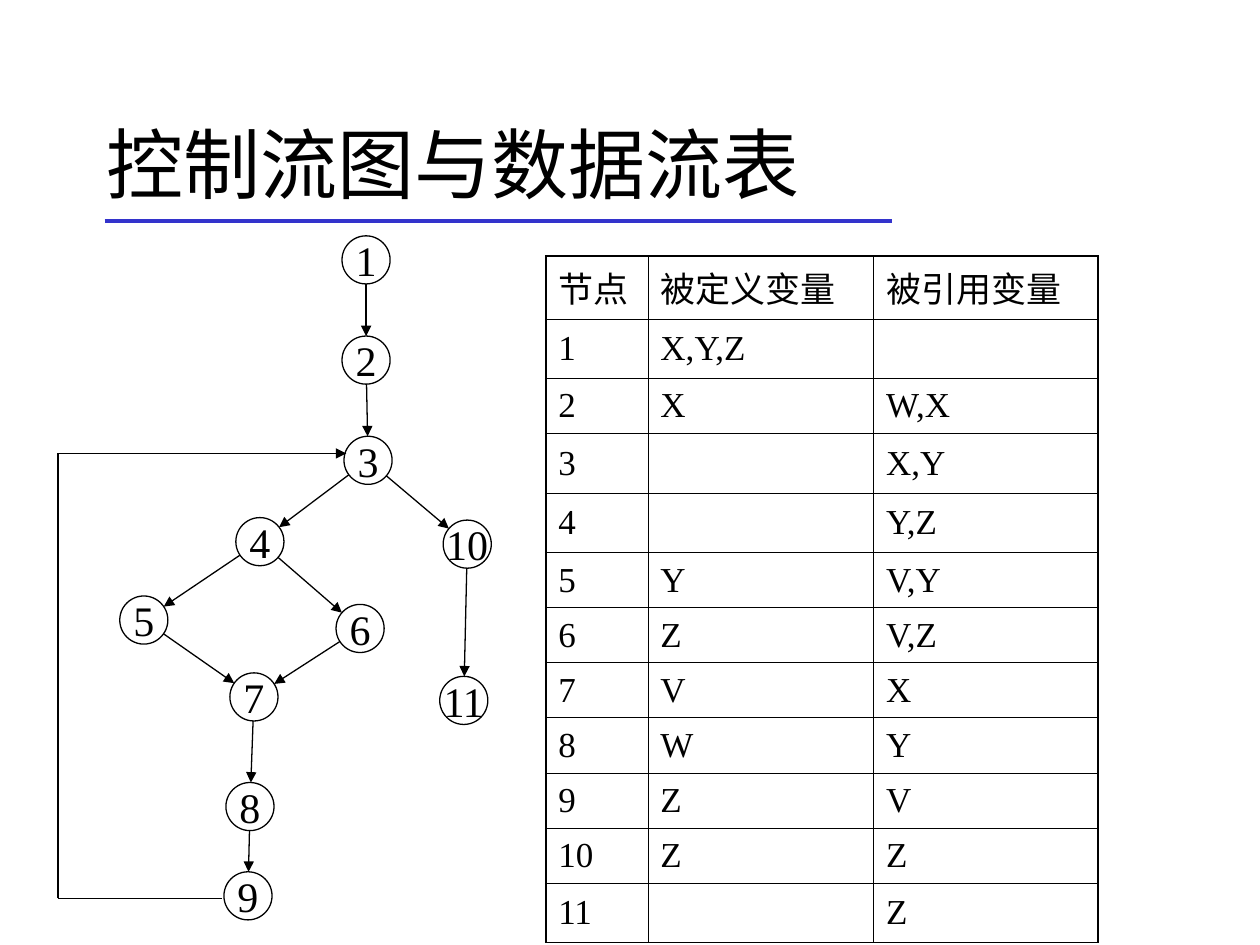
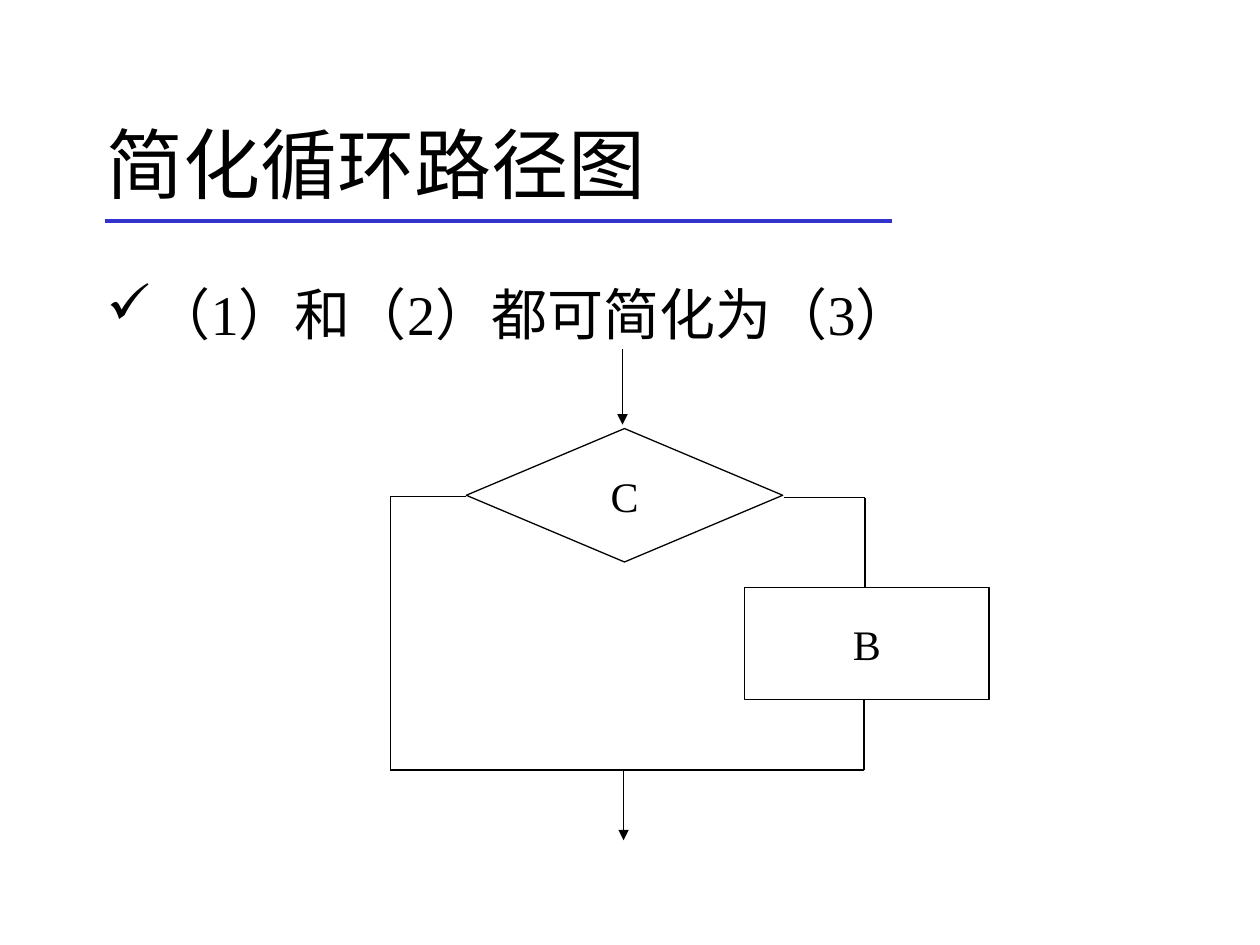
from itertools import pairwise
from math import hypot

from lxml import etree
from pptx import Presentation
from pptx.dml.color import RGBColor
from pptx.enum.shapes import MSO_CONNECTOR, MSO_SHAPE
from pptx.enum.text import MSO_ANCHOR, PP_ALIGN
from pptx.oxml.ns import qn
from pptx.util import Cm, Pt

LINE = MSO_CONNECTOR.STRAIGHT
OVAL, DIAMOND, RECT = MSO_SHAPE.OVAL, MSO_SHAPE.DIAMOND, MSO_SHAPE.RECTANGLE
MIDDLE, TOP = MSO_ANCHOR.MIDDLE, MSO_ANCHOR.TOP
CENTER = PP_ALIGN.CENTER

BLACK, BLUE = "000000", "3333CC"
SERIF, HAN = "Times New Roman", "Noto Sans CJK SC"
THIN, OUTER, INNER = 0.75, 1.08, 0.45

# All lengths are in centimetres.
DIAM = 0.97
NODES = {  # node: centre
    1: (7.38, 5.24), 2: (7.38, 7.26), 3: (7.42, 9.28), 4: (5.24, 10.92),
    5: (2.9, 12.5), 6: (7.26, 12.67), 7: (5.12, 14.05), 8: (5.04, 16.26),
    9: (5.0, 18.06), 10: (9.42, 10.97), 11: (9.35, 14.12),
}
EDGES = [(1, 2), (2, 3), (3, 4), (3, 10), (4, 5), (4, 6),
         (5, 7), (6, 7), (7, 8), (8, 9), (10, 11)]
LOOP = [(4.47, 18.11), (1.17, 18.11), (1.17, 9.14), (6.98, 9.14)]

FLOW = [
    ("节点", "被定义变量", "被引用变量"),
    ("1", "X,Y,Z", ""),
    ("2", "X", "W,X"),
    ("3", "", "X,Y"),
    ("4", "", "Y,Z"),
    ("5", "Y", "V,Y"),
    ("6", "Z", "V,Z"),
    ("7", "V", "X"),
    ("8", "W", "Y"),
    ("9", "Z", "V"),
    ("10", "Z", "Z"),
    ("11", "", "Z"),
]
WIDTHS = (2.06, 4.55, 4.52)
HEAD, GAPPY, FULL = 1.27, 1.2, 1.11  # heights of header, rows with a gap, rest

BLOCKS = [  # shape, text, left, top, width, height
    (DIAMOND, "C", 9.4, 8.64, 6.38, 2.69),
    (RECT, "B", 15.01, 11.84, 4.93, 2.26),
]
ROUTES = [  # points, ends in an arrow
    ([(12.55, 7.04), (12.55, 8.56)], True),
    ([(15.8, 10.03), (17.44, 10.03), (17.44, 11.84)], False),
    ([(9.4, 10.01), (7.87, 10.01), (7.87, 15.52)], False),
    ([(17.42, 14.09), (17.42, 15.52), (7.87, 15.52)], False),
    ([(12.57, 15.52), (12.57, 16.94)], True),
]


def rgb(code):
    return RGBColor.from_string(code)


def style(para, size, latin=SERIF):
    for run in para.runs:
        font = run.font
        font.size, font.name = Pt(size), latin
        font.color.rgb = rgb(BLACK)
        etree.SubElement(run._r.get_or_add_rPr(), qn("a:ea"), typeface=HAN)


def add_text(slide, text, place, size, anchor, latin=SERIF):
    frame = slide.shapes.add_textbox(*map(Cm, place)).text_frame
    frame.word_wrap = True
    frame.vertical_anchor = anchor
    frame.text = text
    style(frame.paragraphs[0], size, latin)
    return frame.paragraphs[0]


def add_block(slide, kind, text, *place):
    shape = slide.shapes.add_shape(kind, *map(Cm, place))
    shape.shadow.inherit = False
    shape.fill.background()
    shape.line.color.rgb = rgb(BLACK)
    shape.line.width = Pt(THIN)
    frame = shape.text_frame
    frame.word_wrap = False
    frame.vertical_anchor = MIDDLE
    frame.text = text
    para = frame.paragraphs[0]
    para.alignment = CENTER
    style(para, 24)


def add_route(slide, points, arrow=False, color=BLACK, width=THIN):
    """Join the points with straight lines; an arrow goes on the last one."""
    for start, end in pairwise(points):
        line = slide.shapes.add_connector(LINE, *map(Cm, start + end))
        line.line.color.rgb = rgb(color)
        line.line.width = Pt(width)
        props = line._element.spPr
        etree.SubElement(props, qn("a:effectLst"))
    if arrow:
        etree.SubElement(props.find(qn("a:ln")), qn("a:tailEnd"), type="triangle")


def rim(a, b):
    """Shorten the line between two node centres to the circles' rims."""
    (ax, ay), (bx, by) = a, b
    part = DIAM / 2 / hypot(bx - ax, by - ay)
    dx, dy = (bx - ax) * part, (by - ay) * part
    return [(ax + dx, ay + dy), (bx - dx, by - dy)]


def add_border(cell, side, width):
    props = cell._tc.get_or_add_tcPr()
    line = etree.SubElement(props, qn(f"a:ln{side}"), w=str(Pt(width)))
    fill = etree.SubElement(line, qn("a:solidFill"))
    etree.SubElement(fill, qn("a:srgbClr"), val=BLACK)


def add_grid(slide, rows, left, top):
    highs = [HEAD] + [FULL if all(row) else GAPPY for row in rows[1:]]
    place = (left, top, sum(WIDTHS), sum(highs))
    table = slide.shapes.add_table(len(rows), len(WIDTHS), *map(Cm, place)).table
    table.first_row = table.horz_banding = False
    for col, width in zip(table.columns, WIDTHS):
        col.width = Cm(width)
    for row, high in zip(table.rows, highs):
        row.height = Cm(high)
    last, end = len(rows) - 1, len(WIDTHS) - 1
    for r, row in enumerate(rows):
        for c, text in enumerate(row):
            cell = table.cell(r, c)
            edges = {"L": c == 0, "R": c == end, "T": r == 0, "B": r == last}
            for side, outer in edges.items():
                add_border(cell, side, OUTER if outer else INNER)
            cell.fill.background()
            cell.vertical_anchor = MIDDLE
            cell.text = text
            style(cell.text_frame.paragraphs[0], 20)


def add_bullet(para, mark, indent):
    props = para._p.get_or_add_pPr()
    props.set("marL", str(Cm(indent)))
    props.set("indent", str(-Cm(indent)))
    etree.SubElement(props, qn("a:buChar"), char=mark)


def add_page(deck, title, latin=SERIF):
    slide = deck.slides.add_slide(deck.slide_layouts[6])
    add_route(slide, [(2.11, 4.45), (17.98, 4.45)], color=BLUE, width=2.25)
    add_text(slide, title, (1.9, 1.7, 21.59, 3.18), 44, MIDDLE, latin)
    return slide


def main():
    deck = Presentation()
    deck.slide_width, deck.slide_height = Cm(25.4), Cm(19.05)

    graph = add_page(deck, "控制流图与数据流表", HAN)
    for name, (x, y) in NODES.items():
        add_block(graph, OVAL, str(name), x - DIAM / 2, y - DIAM / 2, DIAM, DIAM)
    for a, b in EDGES:
        add_route(graph, rim(NODES[a], NODES[b]), True)
    add_route(graph, LOOP, True)
    add_grid(graph, FLOW, 11.0, 5.16)

    chart = add_page(deck, "简化循环路径图")
    para = add_text(chart, "（1）和（2）都可简化为（3）", (1.9, 5.51, 21.59, 1.83), 32, TOP)
    add_bullet(para, "✓", 0.97)
    for block in BLOCKS:
        add_block(chart, *block)
    for points, arrow in ROUTES:
        add_route(chart, points, arrow)

    deck.save("out.pptx")


if __name__ == "__main__":
    main()
